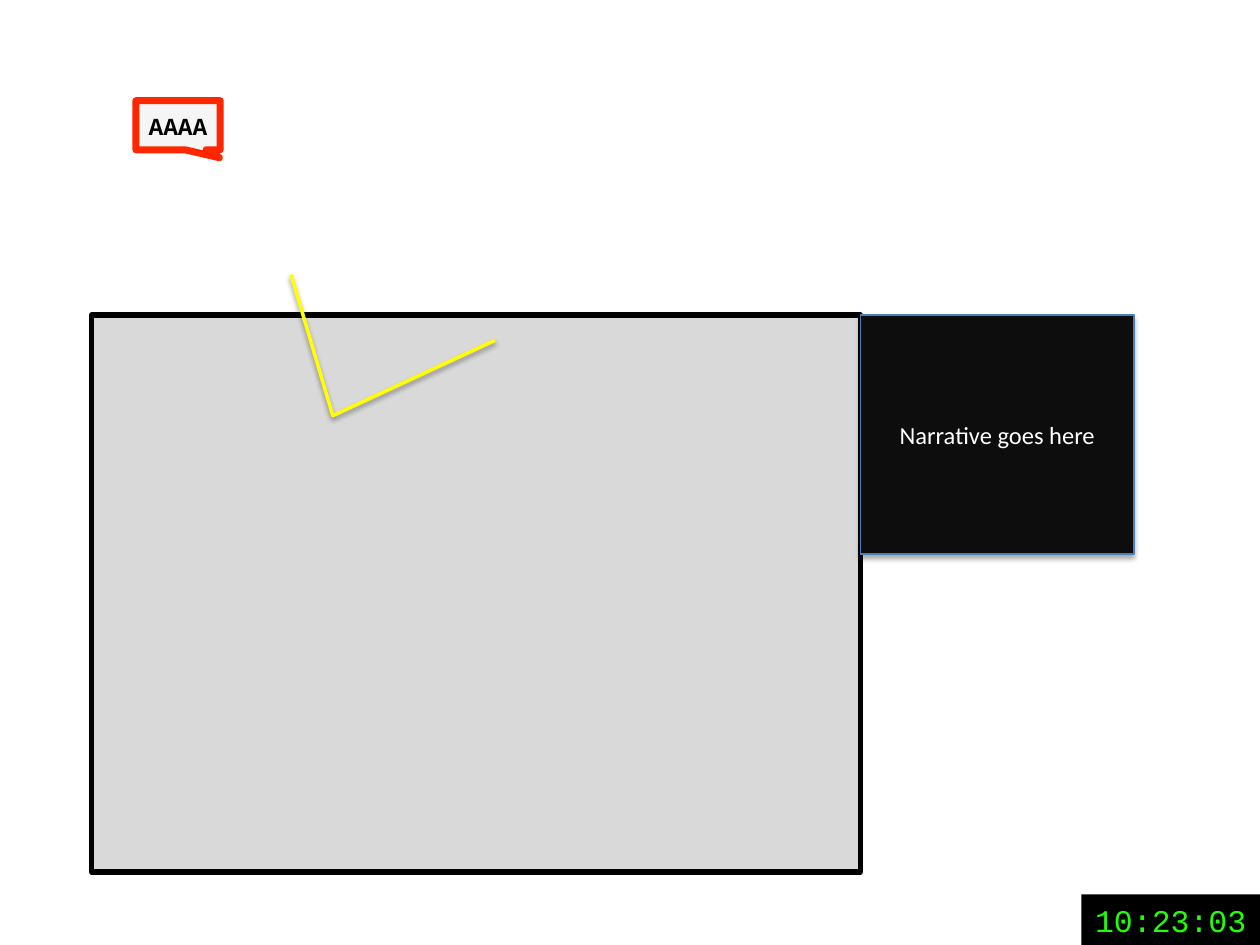
from lxml import etree
from pptx import Presentation
from pptx.dml.color import RGBColor
from pptx.enum.shapes import MSO_SHAPE
from pptx.enum.text import MSO_ANCHOR, PP_ALIGN
from pptx.oxml.ns import qn
from pptx.util import Cm, Pt

RECTANGLE = MSO_SHAPE.RECTANGLE
CALLOUT = MSO_SHAPE.RECTANGULAR_CALLOUT
MIDDLE, TOP = MSO_ANCHOR.MIDDLE, MSO_ANCHOR.TOP
CENTER = PP_ALIGN.CENTER
BLANK_LAYOUT = 6


def color(hex_string):
    """Turn a hex string into a colour."""
    return RGBColor.from_string(hex_string)


def set_line(shape, hex_string, width):
    """Give a shape an outline of the given colour and point width."""
    shape.line.color.rgb = color(hex_string)
    shape.line.width = Pt(width)


def add_box(page, box, fill, line=None, kind=RECTANGLE):
    """Add a filled shape without shadow; line is (colour, points)."""
    shape = page.shapes.add_shape(kind, *(Cm(length) for length in box))
    shape.shadow.inherit = False
    shape.fill.solid()
    shape.fill.fore_color.rgb = color(fill)
    if line:
        set_line(shape, *line)
    else:
        shape.line.fill.background()
    return shape


def add_shadow(shape, opacity, blur, distance):
    """Give a shape a black shadow that falls straight down."""
    shape.shadow.inherit = False
    effects = shape._element.spPr.find(qn("a:effectLst"))
    shadow = etree.SubElement(
        effects, qn("a:outerShdw"), blurRad=str(Pt(blur)),
        dist=str(Pt(distance)), dir="5400000", rotWithShape="0")
    black = etree.SubElement(shadow, qn("a:srgbClr"), val="000000")
    etree.SubElement(black, qn("a:alpha"), val=str(opacity * 1000))


def set_text(shape, text, font, size, hex_string,
             bold=False, anchor=MIDDLE, wrap=True):
    """Write one centred paragraph into a shape."""
    frame = shape.text_frame
    frame.word_wrap = wrap
    frame.vertical_anchor = anchor
    para = frame.paragraphs[0]
    para.text = text
    para.alignment = CENTER
    para.font.name = font
    para.font.size = Pt(size)
    para.font.bold = bold
    para.font.color.rgb = color(hex_string)


def add_screen(page, box):
    """Add the grey screen area and the yellow pointer over it."""
    add_box(page, box, "D9D9D9", ("000000", 3))
    left, top = box[:2]
    points = [(Cm(left + x), Cm(top + y))
              for x, y in ((4.02, -0.81), (4.86, 2.03), (8.13, 0.51))]
    builder = page.shapes.build_freeform(*points[0])
    builder.add_line_segments(points[1:], close=False)
    pointer = builder.convert_to_shape()
    pointer.fill.background()
    set_line(pointer, "FFFF00", 2)
    add_shadow(pointer, 38, 3.1, 1.6)


def add_callout(page, box):
    """Add the red label callout with its see-through fill."""
    callout = add_box(page, box, "F2F2F2", ("FF2600", 4), CALLOUT)
    callout.adjustments[0] = 0.49
    callout.adjustments[1] = 0.663
    tint = callout._element.spPr.find(qn("a:solidFill"))[0]
    etree.SubElement(tint, qn("a:alpha"), val="70000")
    set_text(callout, "AAAA", "Courier New", 14, "000000",
             bold=True, wrap=False)


def add_clock(page, box):
    """Add the digital clock."""
    clock = add_box(page, box, "000000")
    set_text(clock, "10:23:03", "Courier New", 18, "21FF06",
             anchor=TOP, wrap=False)


def add_narrative(page, box):
    """Add the dark narrative panel."""
    panel = add_box(page, box, "0D0D0D", ("4B7EBC", 0.75))
    add_shadow(panel, 35, 3.1, 1.8)
    set_text(panel, "Narrative goes here", "Calibri", 14, "FFFFFF")


def main():
    """Build the slide and save the deck."""
    deck = Presentation()
    deck.slide_width, deck.slide_height = Cm(25.4), Cm(19.05)
    page = deck.slides.add_slide(deck.slide_layouts[BLANK_LAYOUT])
    add_screen(page, (1.85, 6.35, 15.5, 11.23))
    add_callout(page, (2.74, 2.03, 1.7, 0.99))
    add_clock(page, (21.8, 18.03, 3.6, 1.02))
    add_narrative(page, (17.35, 6.35, 5.51, 4.82))
    deck.save("out.pptx")


main()
